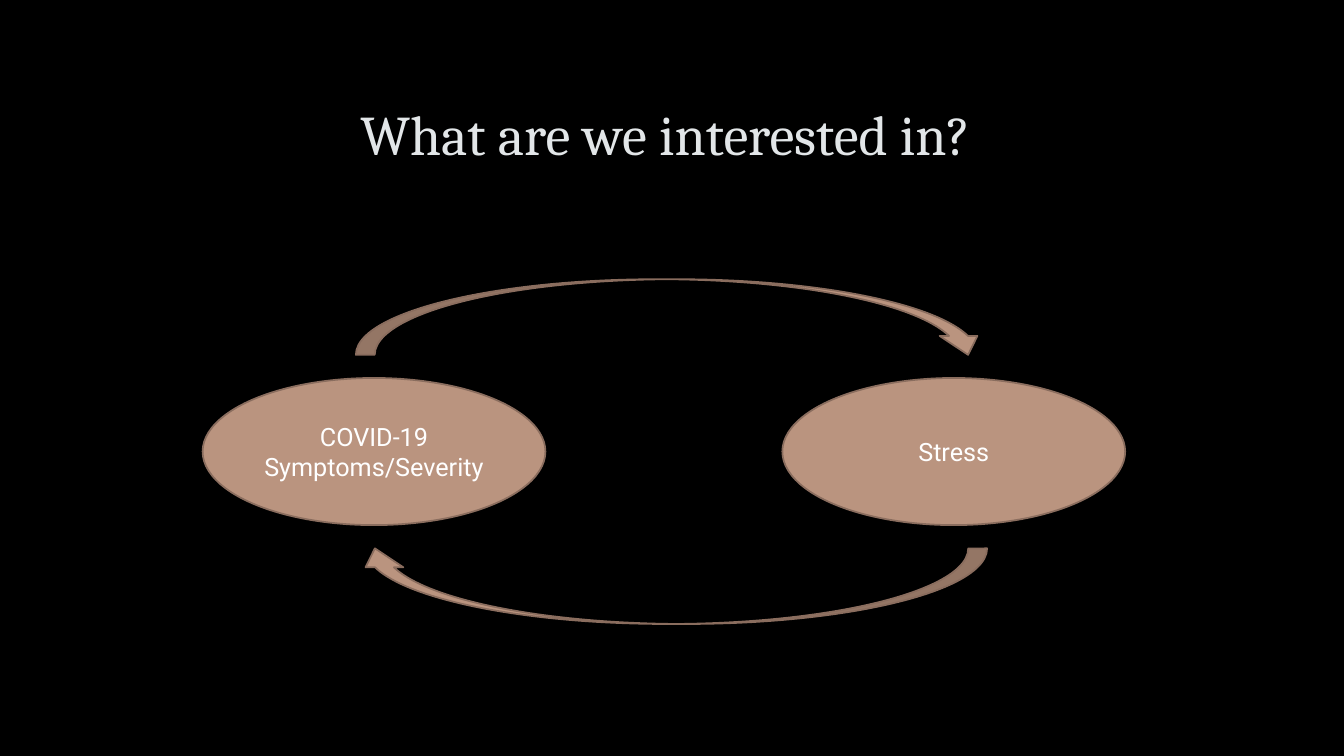
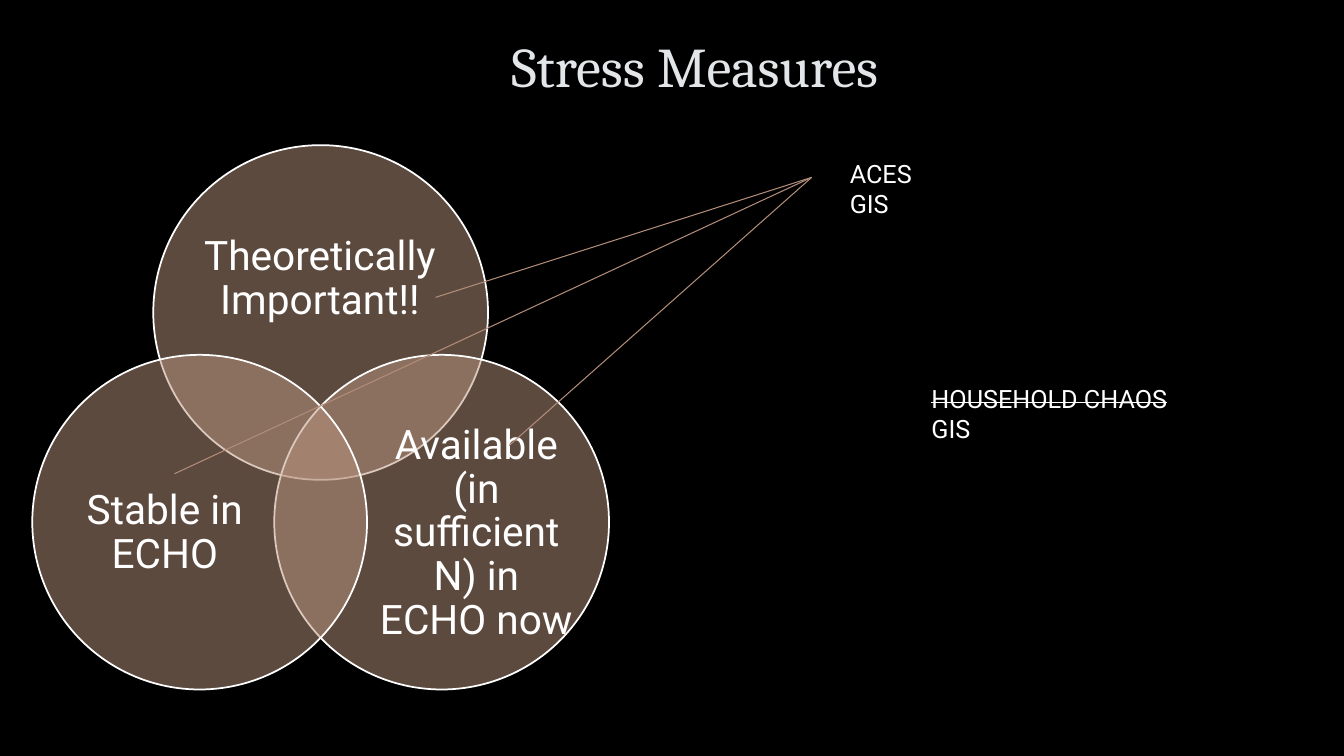
from dataclasses import dataclass

from lxml.etree import SubElement
from pptx import Presentation
from pptx.dml.color import RGBColor
from pptx.enum.shapes import MSO_CONNECTOR, MSO_SHAPE
from pptx.enum.text import MSO_ANCHOR, MSO_AUTO_SIZE, PP_ALIGN
from pptx.oxml.ns import qn
from pptx.util import Pt

# Shared scale, colours and fonts
EMU_PER_PX = 9144  # 100 px to the inch
SLIDE_WIDTH, SLIDE_HEIGHT = 1333, 750
BLACK = RGBColor(0x00, 0x00, 0x00)
WHITE = RGBColor(0xFF, 0xFF, 0xFF)
TITLE_GREY = RGBColor(0xE2, 0xE6, 0xE8)
CLAY = RGBColor(0xBA, 0x94, 0x7F)
CLAY_DARK = RGBColor(0x8A, 0x6D, 0x5E)
CLAY_LINE = RGBColor(0xB2, 0x8D, 0x79)
TITLE_FONT, BODY_FONT = "Cambria", "Roboto"
TITLE_SIZE, BODY_SIZE, VENN_SIZE = 40, 18, 29
TITLE_WIDTH, TITLE_HEIGHT = 1132, 138


@dataclass(frozen=True)
class Box:
    left: int
    top: int
    width: int
    height: int

    def emu(self) -> tuple[int, ...]:
        return tuple(px(n) for n in (self.left, self.top, self.width, self.height))


@dataclass(frozen=True)
class Line:
    text: str
    struck: bool = False


@dataclass(frozen=True)
class VennSet:
    text: str
    left: int
    top: int
    label: Box


@dataclass(frozen=True)
class Note:
    box: Box
    lines: tuple[Line, ...]


def px(length: int) -> int:
    return length * EMU_PER_PX


# Drawing helpers
def add_run(paragraph, line: Line, size: int, font_name=BODY_FONT, color=WHITE) -> None:
    run = paragraph.add_run()
    run.text = line.text
    font = run.font
    font.name, font.size = font_name, Pt(size)
    font.color.rgb = color
    if line.struck:
        font._element.set("strike", "sngStrike")


def add_titled_slide(presentation, title: str, left: int, top: int):
    slide = presentation.slides.add_slide(presentation.slide_layouts[5])
    shape = slide.shapes.title
    shape.left, shape.top, shape.width, shape.height = Box(
        left, top, TITLE_WIDTH, TITLE_HEIGHT).emu()
    frame = shape.text_frame
    frame.auto_size = MSO_AUTO_SIZE.NONE
    frame.vertical_anchor = MSO_ANCHOR.MIDDLE
    paragraph = frame.paragraphs[0]
    paragraph.alignment = PP_ALIGN.CENTER
    paragraph.line_spacing = 0.9
    add_run(paragraph, Line(title), TITLE_SIZE, TITLE_FONT, TITLE_GREY)
    return slide


def add_clay_shape(shapes, kind, box: Box, outline: RGBColor, opacity: int = 100):
    shape = shapes.add_shape(kind, *box.emu())
    shape.shadow.inherit = False
    shape.fill.solid()
    shape.fill.fore_color.rgb = CLAY
    shape.line.color.rgb = outline
    shape.line.width = Pt(1.25)
    if opacity < 100:
        color = shape._element.spPr.find(qn("a:solidFill")).find(qn("a:srgbClr"))
        SubElement(color, qn("a:alpha")).set("val", str(opacity * 1000))
    return shape


def add_venn_set(shapes, venn_set: VennSet, diameter: int) -> None:
    circle = Box(venn_set.left, venn_set.top, diameter, diameter)
    add_clay_shape(shapes, MSO_SHAPE.OVAL, circle, WHITE, opacity=50)
    frame = shapes.add_textbox(*venn_set.label.emu()).text_frame
    frame.word_wrap = True
    frame.vertical_anchor = MSO_ANCHOR.MIDDLE
    frame.margin_left = frame.margin_right = frame.margin_top = frame.margin_bottom = 0
    paragraph = frame.paragraphs[0]
    paragraph.alignment = PP_ALIGN.CENTER
    paragraph.line_spacing = 0.9
    add_run(paragraph, Line(venn_set.text), VENN_SIZE)


def add_note(shapes, note: Note) -> None:
    frame = shapes.add_textbox(*note.box.emu()).text_frame
    frame.word_wrap = True
    for index, line in enumerate(note.lines):
        paragraph = frame.add_paragraph() if index else frame.paragraphs[0]
        add_run(paragraph, line, BODY_SIZE)


def add_pointer(shapes, start: tuple[int, int], end: tuple[int, int]) -> None:
    connector = shapes.add_connector(
        MSO_CONNECTOR.STRAIGHT, *(px(n) for n in (*start, *end)))
    connector.line.color.rgb = CLAY_LINE
    connector.line.width = Pt(0.75)
    SubElement(connector._element.spPr, qn("a:effectLst"))


# Slide 1: two factors that drive each other
def build_interest_slide(presentation) -> None:
    shapes = add_titled_slide(presentation, "What are we interested in? ", 100, 67).shapes
    for text, left in (("COVID-19 Symptoms/Severity", 201), ("Stress", 776)):
        oval = add_clay_shape(shapes, MSO_SHAPE.OVAL, Box(left, 375, 340, 146), CLAY_DARK)
        frame = oval.text_frame
        frame.word_wrap = True
        frame.vertical_anchor = MSO_ANCHOR.MIDDLE
        paragraph = frame.paragraphs[0]
        paragraph.alignment = PP_ALIGN.CENTER
        add_run(paragraph, Line(text), BODY_SIZE)
    for top, rotation in ((277, 0), (544, 180)):
        arrow = add_clay_shape(
            shapes, MSO_SHAPE.CURVED_DOWN_ARROW, Box(353, top, 626, 75), CLAY_DARK)
        arrow.rotation = rotation


# Slide 2: Venn diagram with notes
def build_measures_slide(presentation) -> None:
    shapes = add_titled_slide(presentation, "Stress Measures", 123, 0).shapes

    venn_sets = (
        VennSet("Theoretically Important!!", 152, 144, Box(196, 203, 243, 149)),
        VennSet("Available (in sufficient N) in ECHO now", 272, 352,
                Box(373, 438, 199, 183)),
        VennSet("Stable in ECHO", 32, 352, Box(64, 438, 199, 183)),
    )
    venn = shapes.add_group_shape()
    for venn_set in venn_sets:
        add_venn_set(venn.shapes, venn_set, diameter=332)

    for end in ((432, 295), (505, 442), (173, 470)):
        add_pointer(shapes, (805, 176), end)

    notes = (
        Note(Box(833, 152, 194, 101), (Line("ACES"), Line("GIS"))),
        Note(Box(914, 375, 341, 101), (Line("HOUSEHOLD CHAOS", struck=True), Line("GIS"))),
    )
    for note in notes:
        add_note(shapes, note)


def main() -> None:
    presentation = Presentation()
    presentation.slide_width = px(SLIDE_WIDTH)
    presentation.slide_height = px(SLIDE_HEIGHT)
    background = presentation.slide_master.background.fill
    background.solid()
    background.fore_color.rgb = BLACK
    build_interest_slide(presentation)
    build_measures_slide(presentation)
    presentation.save("out.pptx")


if __name__ == "__main__":
    main()
